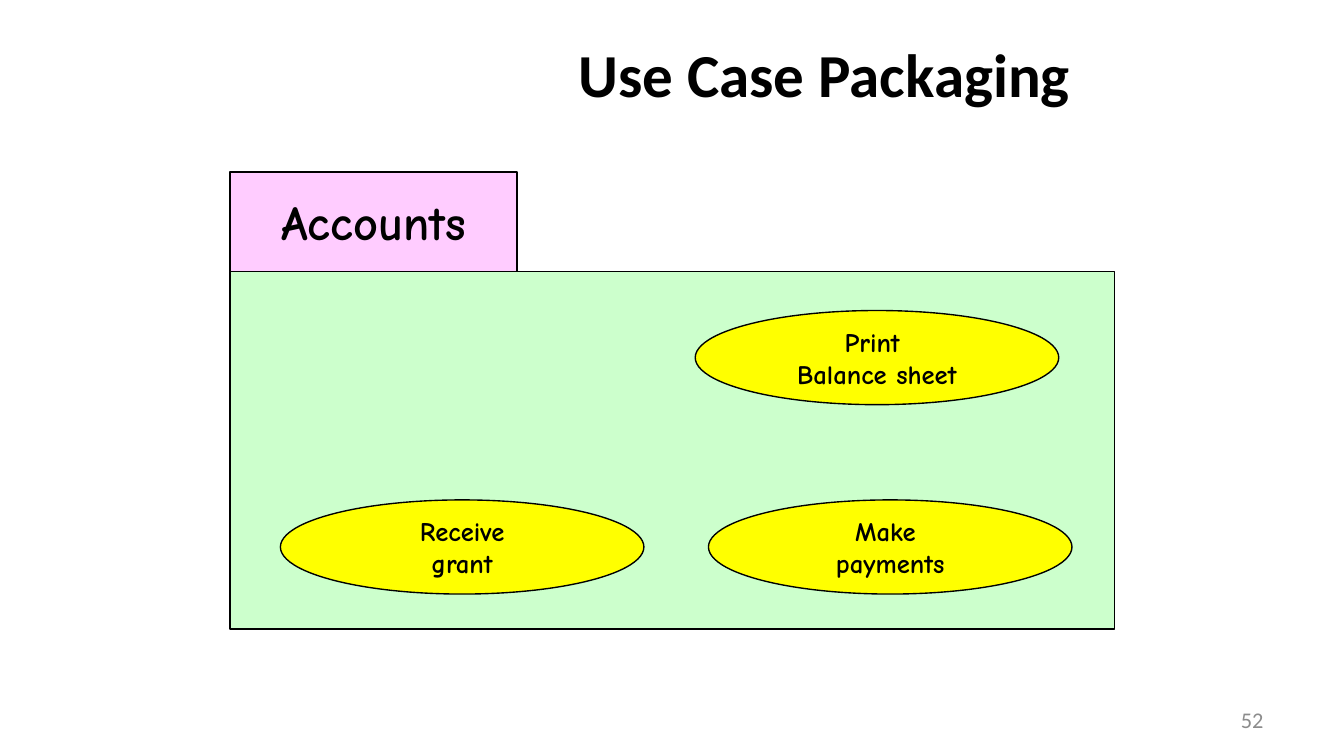
from pptx import Presentation
from pptx import util as u
from pptx.dml.color import RGBColor
from pptx.enum import shapes, text

BLACK = RGBColor(0x00, 0x00, 0x00)
GREY = RGBColor(0x8C, 0x8C, 0x8C)
GREEN = RGBColor(0xCC, 0xFF, 0xCC)
PINK = RGBColor(0xFF, 0xCC, 0xFF)
YELLOW = RGBColor(0xFF, 0xFF, 0x00)
HEAD_FONT = "Calibri"
DIAGRAM_FONT = "Comic Neue"
RECTANGLE = shapes.MSO_SHAPE.RECTANGLE
OVAL = shapes.MSO_SHAPE.OVAL


def write_lines(frame, lines, font, size, color, bold=True, align=text.PP_ALIGN.CENTER):
    frame.auto_size = text.MSO_AUTO_SIZE.NONE
    frame.vertical_anchor = text.MSO_ANCHOR.MIDDLE
    for index, line in enumerate(lines):
        para = frame.paragraphs[0] if index == 0 else frame.add_paragraph()
        para.alignment = align
        span = para.add_run()
        span.text = line
        span.font.name = font
        span.font.size = u.Pt(size)
        span.font.bold = bold
        span.font.color.rgb = color


def set_margins(frame, side, edge):
    frame.margin_left = frame.margin_right = u.Cm(side)
    frame.margin_top = frame.margin_bottom = u.Cm(edge)


def add_title(page, left, top, width, height):
    title = page.shapes.title
    title.left, title.top = u.Cm(left), u.Cm(top)
    title.width, title.height = u.Cm(width), u.Cm(height)
    frame = title.text_frame
    set_margins(frame, 0.03, 0.1)
    write_lines(frame, ["Use Case Packaging "], HEAD_FONT, 32.7, BLACK)
    para = frame.paragraphs[0]
    para.line_spacing = 0.94
    para.space_before = u.Pt(9.3)


def add_figure(group, kind, left, top, width, height, fill):
    figure = group.shapes.add_shape(kind, u.Cm(left), u.Cm(top), u.Cm(width), u.Cm(height))
    figure.shadow.inherit = False
    figure.fill.solid()
    figure.fill.fore_color.rgb = fill
    figure.line.color.rgb = BLACK
    figure.line.width = u.Pt(0.75)
    figure.text_frame.word_wrap = False
    return figure


def add_package(page, left, top, width, height):
    tab_width, tab_height = 5.42, 1.88
    oval_width, oval_height = 6.87, 1.78
    upper_row, lower_row = 2.62, 6.2
    use_cases = [
        (["Receive", "grant"], 0.95, lower_row),
        (["Print ", "Balance sheet"], 8.79, upper_row),
        (["Make ", "payments"], 9.04, lower_row),
    ]
    group = page.shapes.add_group_shape()
    add_figure(group, RECTANGLE, left, top + tab_height, width, height - tab_height, GREEN)
    for lines, across, down in use_cases:
        oval = add_figure(group, OVAL, left + across, top + down,
                          oval_width, oval_height, YELLOW)
        set_margins(oval.text_frame, 0, 0)
        write_lines(oval.text_frame, lines, DIAGRAM_FONT, 14.3, BLACK)
    tab = add_figure(group, RECTANGLE, left, top, tab_width, tab_height, PINK)
    set_margins(tab.text_frame, 0.2, 0.1)
    write_lines(tab.text_frame, ["Accounts"], DIAGRAM_FONT, 25.9, BLACK)


def add_page_number(page, left, top, width, height):
    box = page.shapes.add_textbox(u.Cm(left), u.Cm(top), u.Cm(width), u.Cm(height))
    box.text_frame.word_wrap = True
    write_lines(box.text_frame, ["52"], HEAD_FONT, 12, GREY, False, text.PP_ALIGN.RIGHT)


def main():
    deck = Presentation()
    deck.slide_width, deck.slide_height = u.Cm(25.4), u.Cm(14.29)
    page = deck.slides.add_slide(deck.slide_layouts[5])
    add_title(page, 7.62, 0.28, 16.18, 2.36)
    add_package(page, 4.35, 3.25, 16.71, 8.64)
    add_page_number(page, 18.21, 13.23, 5.92, 0.76)
    deck.save("out.pptx")


if __name__ == "__main__":
    main()
